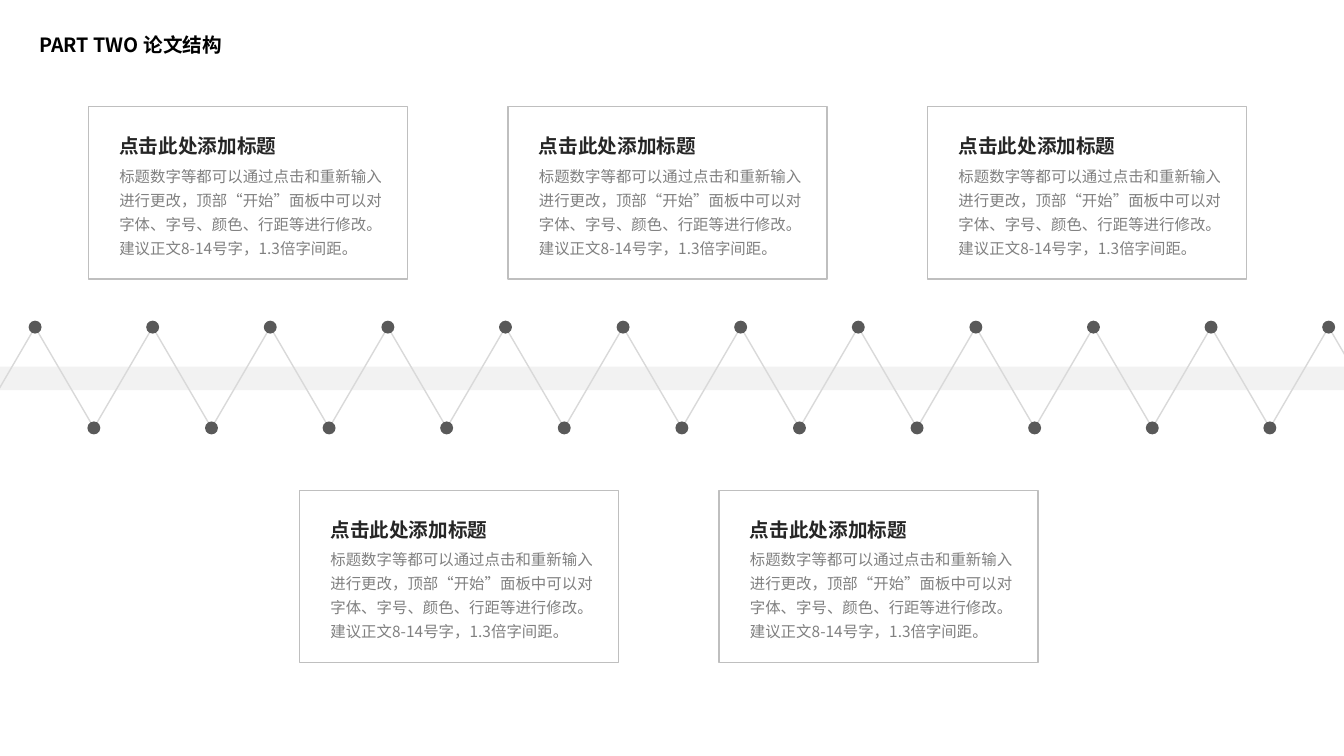
from typing import NamedTuple

from lxml import etree
from pptx import Presentation
from pptx import util as u
from pptx.dml.color import RGBColor
from pptx.enum import lang, shapes, text
from pptx.oxml import ns

COLOURS = {
    "heading": "000000", "card title": "262626", "card body": "808080",
    "card edge": "BFBFBF", "band": "F2F2F2", "zigzag": "D9D9D9",
    "dot": "595959", "cover": "FFFFFF",
}
CJK_FONT = "Noto Sans CJK SC"
CARD_TITLE = "点击此处添加标题"
CARD_BODY = (
    "标题数字等都可以通过点击和重新输入进行更改，顶部“开始”面板中可以对"
    "字体、字号、颜色、行距等进行修改。建议正文8-14号字，1.3倍字间距。"
)

# The slide is a grid of 160 columns by 90 rows
SLIDE_WIDTH, SLIDE_HEIGHT = u.Inches(13.333), u.Inches(7.5)
COLUMN, ROW = SLIDE_WIDTH / 160, SLIDE_HEIGHT / 90

# Zigzag, in columns and rows
WAVES, WAVE_WIDTH = 12, 14
WAVE_LEFT, WAVE_TOP, WAVE_HEIGHT = -2.82, 38.95, 12
DOT_SIZE = 1.54

# Cards, in columns and rows
CARD_WIDTH, CARD_HEIGHT, CARD_PITCH = 38, 20.5, 49.95


class Box(NamedTuple):
    left: float
    top: float
    width: float
    height: float

    def emu(self) -> tuple[int, ...]:
        return (round(self.left * COLUMN), round(self.top * ROW),
                round(self.width * COLUMN), round(self.height * ROW))


class CardRow(NamedTuple):
    left: float
    top: float
    count: int


CARD_ROWS = [CardRow(10.53, 12.7, 3), CardRow(35.65, 58.4, 2)]


def colour(name: str) -> RGBColor:
    return RGBColor.from_string(COLOURS[name])


def add_figure(parent, kind, box: Box, fill: str = "", edge: str = ""):
    figure = parent.add_shape(kind, *box.emu())
    figure.shadow.inherit = False
    if fill:
        figure.fill.solid()
        figure.fill.fore_color.rgb = colour(fill)
    else:
        figure.fill.background()
    if edge:
        figure.line.color.rgb = colour(edge)
        figure.line.width = u.Pt(1)
    else:
        figure.line.fill.background()
    return figure


def add_words(parent, words: str, box: Box, *, size: float, ink: str,
              font: str = CJK_FONT, bold: bool = False, spacing: float = 1.0,
              before: float = 0, anchor=text.MSO_ANCHOR.TOP) -> None:
    frame = parent.add_textbox(*box.emu()).text_frame
    frame.word_wrap = True
    frame.vertical_anchor = anchor
    paragraph = frame.paragraphs[0]
    paragraph.line_spacing = spacing
    paragraph.space_before = u.Pt(before)
    run = paragraph.add_run()
    run.text = words
    run.font.size, run.font.bold, run.font.name = u.Pt(size), bold, font
    run.font.color.rgb = colour(ink)
    run.font.language_id = lang.MSO_LANGUAGE_ID.SIMPLIFIED_CHINESE
    east_asian = etree.SubElement(run.font._element, ns.qn("a:ea"))
    east_asian.set("typeface", CJK_FONT)


def add_dot(parent, x: float, y: float) -> None:
    box = Box(x - DOT_SIZE / 2, y - DOT_SIZE / 2, DOT_SIZE, DOT_SIZE)
    add_figure(parent, shapes.MSO_SHAPE.OVAL, box, fill="dot")


def add_zigzag(slide) -> None:
    zigzag = slide.shapes.add_group_shape().shapes
    add_figure(zigzag, shapes.MSO_SHAPE.RECTANGLE,
               Box(0, 43.65, 160, 2.8), fill="band")
    lefts = [WAVE_LEFT + wave * WAVE_WIDTH for wave in range(WAVES)]
    for left in lefts:
        add_figure(zigzag, shapes.MSO_SHAPE.ISOSCELES_TRIANGLE,
                   Box(left, WAVE_TOP, WAVE_WIDTH, WAVE_HEIGHT), edge="zigzag")

    # White line over the triangle bases leaves only the slopes
    base = WAVE_TOP + WAVE_HEIGHT
    x, y, width, _ = Box(WAVE_LEFT, base, WAVES * WAVE_WIDTH, 0).emu()
    cover = zigzag.add_connector(shapes.MSO_CONNECTOR.STRAIGHT, x, y, x + width, y)
    cover.line.color.rgb = colour("cover")
    cover.line.width = u.Pt(3)
    etree.SubElement(cover._element.spPr, ns.qn("a:effectLst"))

    # Dots on the peaks and in the valleys between them
    for left in lefts:
        add_dot(zigzag, left + WAVE_WIDTH / 2, WAVE_TOP)
    for left in lefts[1:]:
        add_dot(zigzag, left, base)


def add_card(slide, left: float, top: float) -> None:
    card = slide.shapes.add_group_shape().shapes
    add_figure(card, shapes.MSO_SHAPE.RECTANGLE,
               Box(left, top, CARD_WIDTH, CARD_HEIGHT), edge="card edge")
    add_words(card, CARD_TITLE, Box(left + 2.5, top + 2.65, 26, 4),
              size=14, ink="card title", font="Cabin", bold=True)
    add_words(card, CARD_BODY, Box(left + 2.5, top + 5.9, 35, 15.6),
              size=11, ink="card body", spacing=1.3)


def main() -> None:
    deck = Presentation()
    deck.slide_width, deck.slide_height = SLIDE_WIDTH, SLIDE_HEIGHT
    slide = deck.slides.add_slide(deck.slide_layouts[6])

    # Heading
    add_words(slide.shapes, "PART TWO 论文结构", Box(3.5, 2.9, 43.3, 5.1),
              size=14, ink="heading", bold=True, spacing=0.9, before=10,
              anchor=text.MSO_ANCHOR.MIDDLE)

    # Timeline
    add_zigzag(slide)

    # Cards above and below it
    for row in CARD_ROWS:
        for place in range(row.count):
            add_card(slide, row.left + place * CARD_PITCH, row.top)

    deck.save("out.pptx")


if __name__ == "__main__":
    main()
